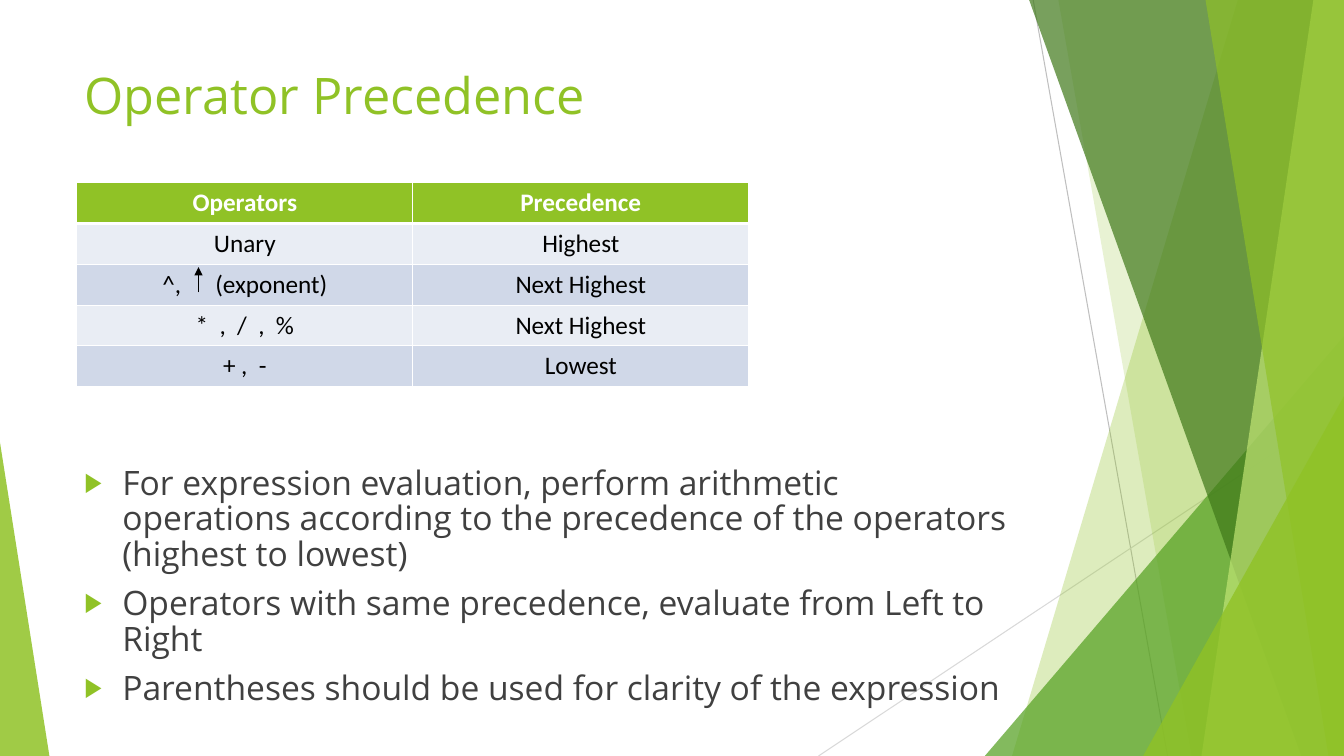
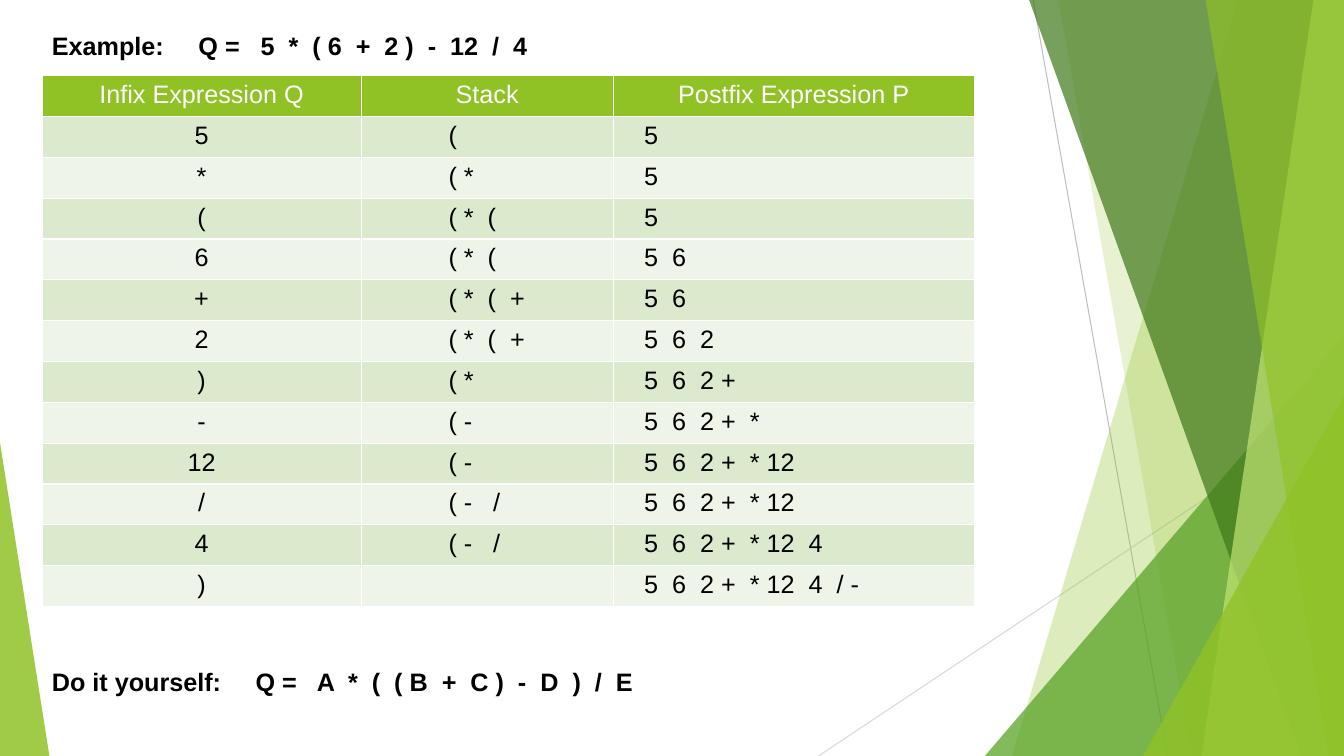
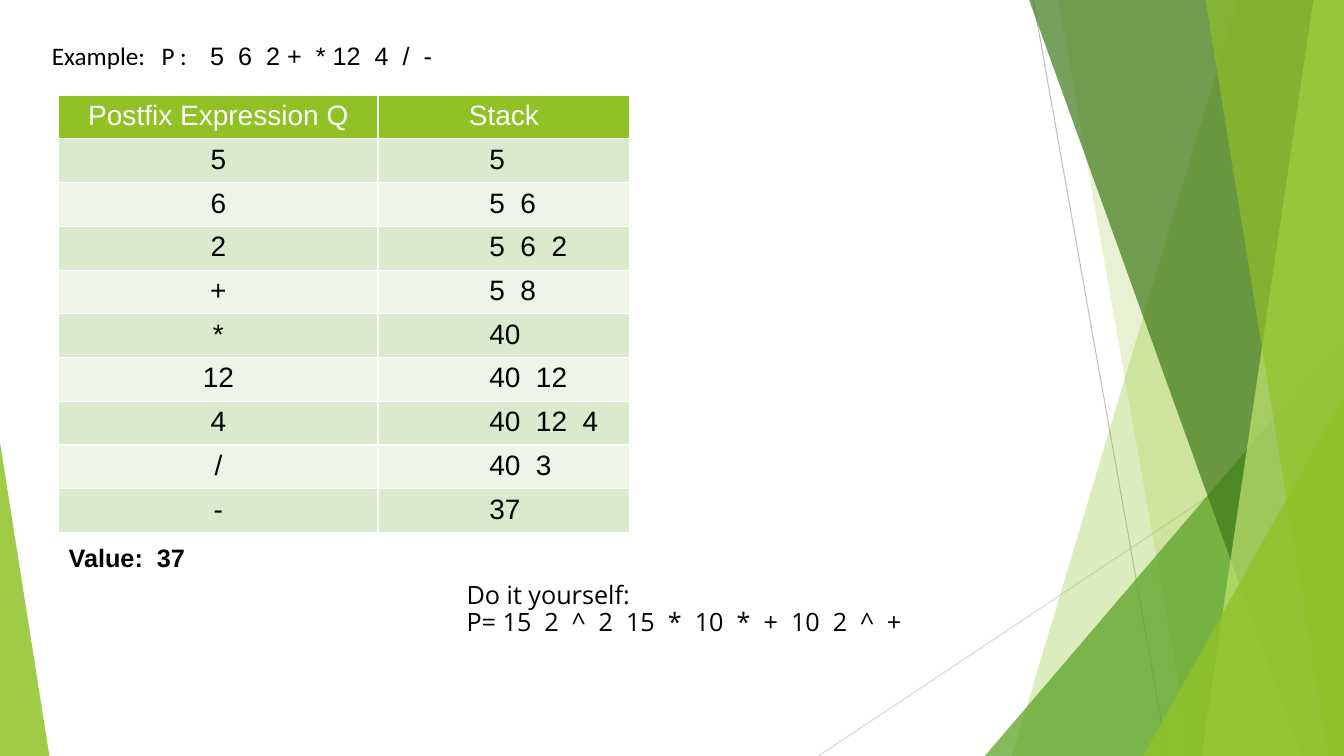
from lxml import etree
from pptx import Presentation
from pptx import util as u
from pptx.dml import color
from pptx.enum import shapes, text
from pptx.oxml import ns

COLUMNS, ROWS = 160, 90
CELL = u.Inches(1) // 12

LIME, GREEN, FOREST, PALE = "90C226", "54A021", "3F7819", "C0E474"
BLACK, WHITE, GREY = "000000", "FFFFFF", "404040"
BLUE_BANDS = ("E9EDF4", "D0D8E8")
GREEN_BANDS = ("DBE9CD", "EEF4E8")


def grid(cells):
    return u.Emu(round(cells * CELL))


def rgb(code):
    return color.RGBColor.from_string(code)


def add_xml(parent, tag, **attributes):
    child = etree.SubElement(parent, ns.qn(tag))
    for key, value in attributes.items():
        child.set(key, str(value))
    return child


class Deck:
    """Holds the shared style and the slide being filled."""

    heading_font, table_font, plain_font = "Open Sans", "Arial", "Calibri"
    heading_spacing = 0.88

    def __init__(self):
        self.file = Presentation()
        self.file.slide_width = grid(COLUMNS)
        self.file.slide_height = grid(ROWS)
        self.slide = None

    def new_slide(self):
        self.slide = self.file.slides.add_slide(self.file.slide_layouts[6])
        self.backdrop()

    def backdrop(self):
        """Draws the green facets that every slide carries."""
        self.line((123, 0), (139, ROWS), "BFBFBF")
        self.line((COLUMNS, 48.36), (97.44, ROWS), "D9D9D9")
        self.facet(147.36, 120.48, LIME, 30)
        self.facet(126, 141.84, LIME, 20)
        self.corner(117.24, 40, COLUMNS - 117.24, 1, GREEN, 72)
        self.facet(122.52, 154.92, FOREST, 70)
        self.facet(156.36, 143.04, PALE, 70)
        self.facet(143.52, 158.16, LIME, 65)
        self.corner(136.08, 47.16, COLUMNS - 136.08, 1, LIME, 80)
        self.corner(0, 52.68, 5.88, 0, LIME, 85)

    def paint(self, shape, code, opacity):
        shape.shadow.inherit = False
        shape.line.fill.background()
        shape.fill.solid()
        shape.fill.fore_color.rgb = rgb(code)
        tint = shape.fill._xPr.find(ns.qn("a:solidFill"))[0]
        add_xml(tint, "a:alpha", val=opacity * 1000)

    def facet(self, top_x, bottom_x, code, opacity):
        """Fills from a slanted edge to the right side of the slide."""
        outline = self.slide.shapes.build_freeform(grid(top_x), 0)
        corners = [(COLUMNS, 0), (COLUMNS, ROWS), (bottom_x, ROWS)]
        outline.add_line_segments([(grid(x), grid(y)) for x, y in corners])
        self.paint(outline.convert_to_shape(), code, opacity)

    def corner(self, left, top, width, apex, code, opacity):
        """Adds a triangle standing on the bottom edge."""
        triangle = self.slide.shapes.add_shape(
            shapes.MSO_SHAPE.ISOSCELES_TRIANGLE,
            grid(left), grid(top), grid(width), grid(ROWS - top))
        triangle.adjustments[0] = apex
        self.paint(triangle, code, opacity)

    def line(self, start, end, code, weight=0.75, arrow=False):
        connector = self.slide.shapes.add_connector(
            shapes.MSO_CONNECTOR.STRAIGHT, *map(grid, start + end))
        connector.line.color.rgb = rgb(code)
        connector.line.width = u.Pt(weight)
        if arrow:
            add_xml(connector.line._ln, "a:tailEnd", type="triangle")
        add_xml(connector._element.spPr, "a:effectLst")

    def run(self, paragraph, words, font, size, code, bold=False, tracking=0):
        run = paragraph.add_run()
        run.text = words
        run.font.name, run.font.size, run.font.bold = font, u.Pt(size), bold
        run.font.color.rgb = rgb(code)
        if tracking:
            run.font._element.set("spc", str(round(tracking * 100)))

    def text(self, left, top, width, height, lines, font, size=18,
             code=BLACK, bold=False, bullets=False, tabs=()):
        """Each line is a string, or a list of (words, font) pairs."""
        box = self.slide.shapes.add_textbox(*map(grid, (left, top, width, height)))
        frame = box.text_frame
        frame.word_wrap = True
        for index, line in enumerate(lines):
            paragraph = frame.paragraphs[0] if index == 0 else frame.add_paragraph()
            if font == self.heading_font:
                paragraph.line_spacing = self.heading_spacing
            if bullets:
                self.bullet(paragraph)
            if tabs:
                stops = add_xml(paragraph._p.get_or_add_pPr(), "a:tabLst")
                for stop in tabs:
                    add_xml(stops, "a:tab", pos=grid(stop), algn="l")
            for words, face in [(line, font)] if isinstance(line, str) else line:
                self.run(paragraph, words, face, size, code, bold)

    def bullet(self, paragraph):
        paragraph.space_before = u.Pt(10)
        properties = paragraph._p.get_or_add_pPr()
        properties.set("marL", str(grid(4.5)))
        properties.set("indent", str(-grid(4.5)))
        add_xml(add_xml(properties, "a:buClr"), "a:srgbClr", val=LIME)
        add_xml(properties, "a:buSzPct", val=80000)
        add_xml(properties, "a:buFont", typeface=self.table_font)
        add_xml(properties, "a:buChar", char="▶")

    def borders(self, cell, top=1, bottom=1):
        properties = cell._tc.get_or_add_tcPr()
        for side, weight in zip("LRTB", (1, 1, top, bottom)):
            edge = add_xml(properties, f"a:ln{side}", w=u.Pt(weight))
            add_xml(add_xml(edge, "a:solidFill"), "a:srgbClr", val=WHITE)

    def table(self, left, top, widths, height, rows, font, size, bands,
              indents, header_bold=False, header_rule=1):
        """Columns are centred unless they have an indent.

        A cell is a string, or a list of (words, tracking) pairs.
        """
        grid_table = self.slide.shapes.add_table(
            len(rows), len(widths), grid(left), grid(top),
            grid(sum(widths)), grid(height)).table
        for column, width in zip(grid_table.columns, widths):
            column.width = grid(width)
        for r, row in enumerate(rows):
            header = r == 0
            grid_table.rows[r].height = grid(height / len(rows))
            for c, content in enumerate(row):
                cell = grid_table.cell(r, c)
                self.borders(cell, header_rule if r == 1 else 1,
                             header_rule if header else 1)
                cell.fill.solid()
                cell.fill.fore_color.rgb = rgb(LIME if header else bands[(r - 1) % 2])
                paragraph = cell.text_frame.paragraphs[0]
                if header or indents[c] is None:
                    paragraph.alignment = text.PP_ALIGN.CENTER
                else:
                    cell.margin_left = grid(indents[c])
                pieces = [(content, 0)] if isinstance(content, str) else content
                for words, tracking in pieces:
                    if words:
                        self.run(paragraph, words, font, size,
                                 WHITE if header else BLACK,
                                 header and header_bold, tracking)


def precedence_slide(deck):
    deck.new_slide()
    deck.text(8.88, 8, 112.8, 17.28, ["Operator Precedence"],
              deck.heading_font, 36, LIME)
    deck.text(8.88, 55, 112.8, 24.36, [
        "For expression evaluation, perform arithmetic operations according "
        "to the precedence of the operators (highest to lowest)",
        "Operators with same precedence, evaluate from Left to Right",
        "Parentheses should be used for clarity of the expression",
    ], deck.heading_font, 24, GREY, bullets=True)
    deck.table(9.15, 21.75, (40, 40), 24.3, [
        ("Operators", "Precedence"),
        ("Unary", "Highest"),
        ([("^,", 0), (" ", 20.3), ("(exponent)", 0)], "Next Highest"),
        ("*  ,  /  ,  %", "Next Highest"),
        ("+ ,  -", "Lowest"),
    ], deck.plain_font, 18, BLUE_BANDS, (None, None),
        header_bold=True, header_rule=3)
    deck.line((23.64, 34.8), (23.64, 31.8), BLACK, 1, arrow=True)


def conversion_slide(deck):
    deck.new_slide()
    deck.text(5, 3, 109, 4.8, ["Example:\tQ =   5  *  ( 6  +  2 )  -  12  /  4"],
              deck.table_font, bold=True, tabs=(17.45,))
    deck.table(5, 9, (38, 30, 43), 63.2, [
        ("Infix Expression Q", "Stack", "Postfix Expression P"),
        ("5", "(", "5"),
        ("*", "( *", "5"),
        ("(", "( *  (", "5"),
        ("6", "( *  (", "5  6"),
        ("+", "( *  (  +", "5  6"),
        ("2", "( *  (  +", "5  6  2"),
        (")", "( *", "5  6  2 +"),
        ("-", "( -", "5  6  2 +  *"),
        ("12", "( -", "5  6  2 +  * 12"),
        ("/", "( -   /", "5  6  2 +  * 12"),
        ("4", "( -   /", "5  6  2 +  * 12  4"),
        (")", "", "5  6  2 +  * 12  4  / -"),
    ], deck.table_font, 18, GREEN_BANDS, (None, 10.4, 3.7))
    deck.text(5, 78.75, 109, 4.8,
              ["Do it yourself:\tQ =   A  *  (  ( B  +  C )  -  D  )  /  E"],
              deck.table_font, bold=True, tabs=(24.25,))


def evaluation_slide(deck):
    deck.new_slide()
    deck.text(5, 4.2, 110, 4.8, [[("Example:\tP :\t", deck.plain_font),
                                  ("5  6  2 +  * 12  4  /  -", deck.table_font)]],
              deck.plain_font, tabs=(13.05, 18.85))
    deck.table(7, 11.33, (38, 30), 52, [
        ("Postfix Expression Q", "Stack"),
        ("5", "5"),
        ("6", "5  6"),
        ("2", "5  6  2"),
        ("+", "5  8"),
        ("*", "40"),
        ("12", "40  12"),
        ("4", "40  12  4"),
        ("/", "40  3"),
        ("-", "37"),
    ], deck.table_font, 20, GREEN_BANDS, (None, 13.25))
    deck.text(7, 64, 69, 4.8, ["Value:  37"], deck.table_font, bold=True)
    deck.text(54.36, 68.88, 67.44, 8.5, [
        "Do it yourself:",
        "P= 15  2  ^  2  15  *  10  *  +  10  2  ^  +",
    ], deck.heading_font)


def main():
    deck = Deck()
    precedence_slide(deck)
    conversion_slide(deck)
    evaluation_slide(deck)
    deck.file.save("out.pptx")


if __name__ == "__main__":
    main()
